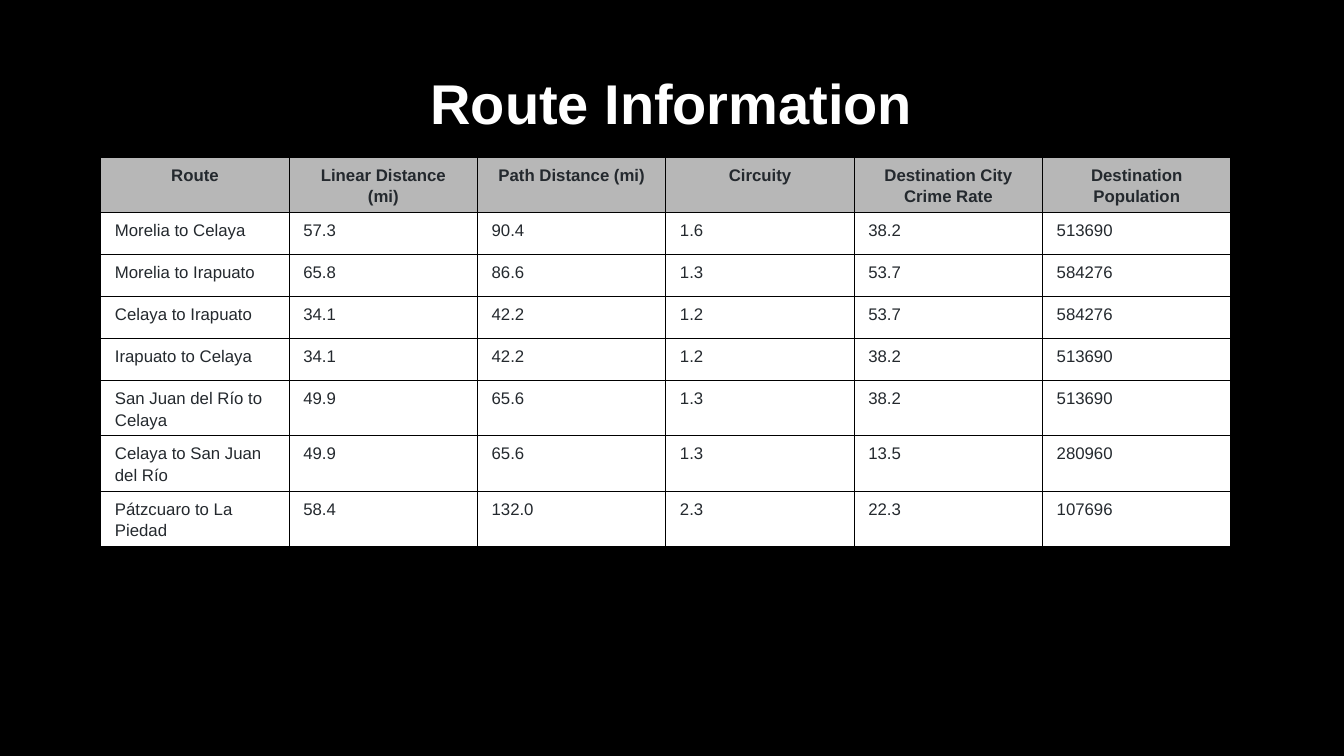
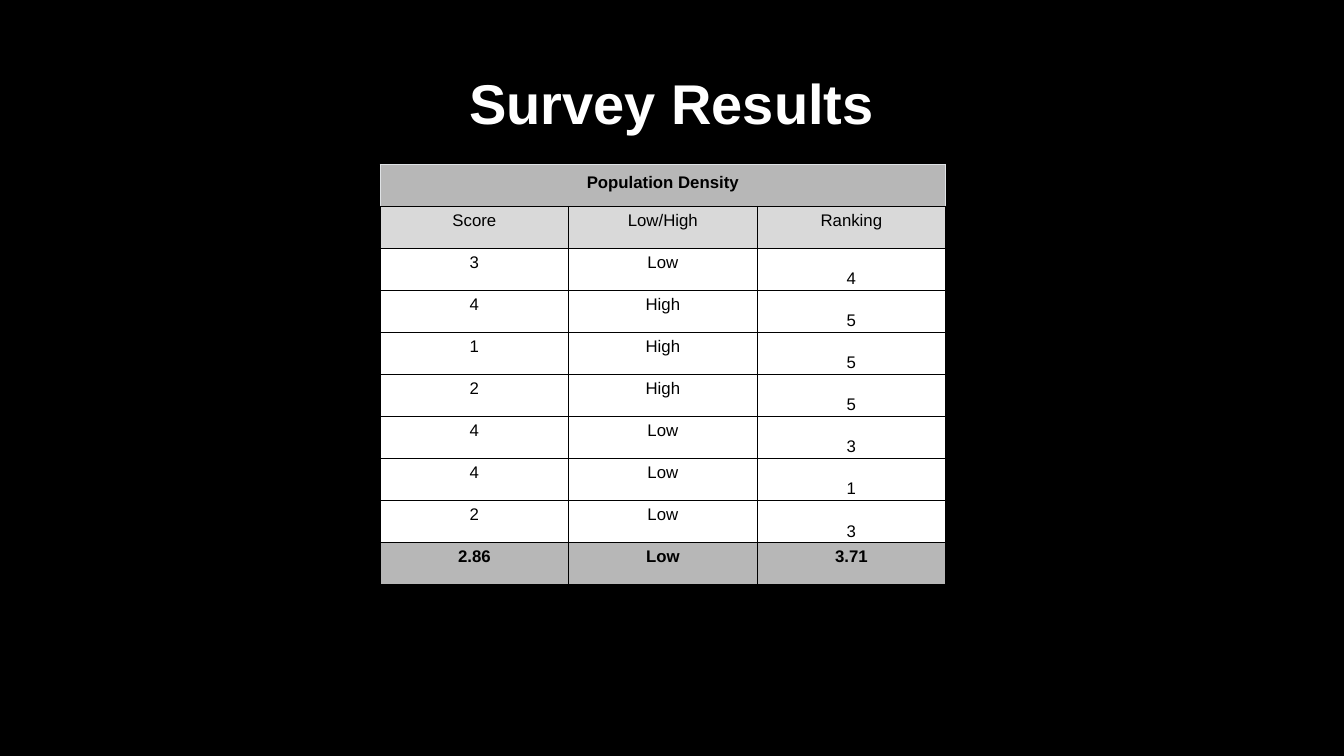
from dataclasses import dataclass
from lxml.etree import SubElement
from pptx import Presentation
from pptx.dml.color import RGBColor
from pptx.enum.text import MSO_ANCHOR, PP_ALIGN
from pptx.oxml.ns import qn
from pptx.util import Inches, Pt


@dataclass(frozen=True)
class Theme:
    """Colours, font and type sizes shared by the slides."""
    font: str = "Arial"
    back: str = "000000"
    light: str = "FFFFFF"
    ink: str = "24292E"
    black: str = "000000"
    head: str = "B7B7B7"
    sub: str = "D9D9D9"
    rim: str = "DFE2E5"
    big: int = 40
    small: int = 12
    line: float = 0.75


@dataclass(frozen=True)
class Look:
    """The style of one kind of table cell."""
    fill: str
    ink: str
    bold: bool = False
    align: PP_ALIGN = PP_ALIGN.CENTER
    pad: tuple = (0.03, 0.02)
    after: int = 0
    edge: str = "000000"


THEME = Theme()
WIDE = (0.14, 0.06)
HEAD = Look(THEME.head, THEME.ink, True, pad=WIDE, after=12)
BODY = Look(THEME.light, THEME.ink, align=PP_ALIGN.LEFT, pad=WIDE, after=12)
BAND = Look(THEME.head, THEME.black, True, pad=WIDE, after=12, edge=THEME.rim)
SUB = Look(THEME.sub, THEME.black)
SCORE = Look(THEME.light, THEME.black)
MEAN = Look(THEME.head, THEME.black, True)

TITLE_BOX = (1, 0.33, 11.32, 1.45)
ROUTE_BOX = (1, 1.56, 11.21, 3.33)
SCORE_BOX = (3.77, 1.63, 5.61, 4.17)

ROUTES = [
    ("Route", "Linear Distance (mi)", "Path Distance (mi)", "Circuity",
     "Destination City Crime Rate", "Destination Population"),
    ("Morelia to Celaya", "57.3", "90.4", "1.6", "38.2", "513690"),
    ("Morelia to Irapuato", "65.8", "86.6", "1.3", "53.7", "584276"),
    ("Celaya to Irapuato", "34.1", "42.2", "1.2", "53.7", "584276"),
    ("Irapuato to Celaya", "34.1", "42.2", "1.2", "38.2", "513690"),
    ("San Juan del Río to Celaya", "49.9", "65.6", "1.3", "38.2", "513690"),
    ("Celaya to San Juan del Río", "49.9", "65.6", "1.3", "13.5", "280960"),
    ("Pátzcuaro to La Piedad", "58.4", "132.0", "2.3", "22.3", "107696"),
]
SCORES = [
    ("Population Density", "", ""),
    ("Score", "Low/High", "Ranking"),
    ("3", "Low", "4"),
    ("4", "High", "5"),
    ("1", "High", "5"),
    ("2", "High", "5"),
    ("4", "Low", "3"),
    ("4", "Low", "1"),
    ("2", "Low", "3"),
    ("2.86", "Low", "3.71"),
]


def style(para, size, ink, bold, align, lead):
    """Format a paragraph and its runs."""
    para.alignment = align
    para.line_spacing = lead
    for run in para.runs:
        font = run.font
        font.name, font.size, font.bold = THEME.font, Pt(size), bold
        font.color.rgb = RGBColor.from_string(ink)


def border(cell, edge):
    """Draw the four sides of a cell; the bottom is always black."""
    props = cell._tc.get_or_add_tcPr()
    sides = {"a:lnL": edge, "a:lnR": edge, "a:lnT": edge, "a:lnB": THEME.black}
    for tag, tint in sides.items():
        line = SubElement(props, qn(tag), w=str(Pt(THEME.line)))
        fill = SubElement(line, qn("a:solidFill"))
        SubElement(fill, qn("a:srgbClr"), val=tint)


def dress(cell, text, look):
    """Fill a cell with text in the given look."""
    across, down = map(Inches, look.pad)
    cell.margin_left = cell.margin_right = across
    cell.margin_top = cell.margin_bottom = down
    border(cell, look.edge)
    cell.fill.solid()
    cell.fill.fore_color.rgb = RGBColor.from_string(look.fill)
    cell.text_frame.text = text
    para = cell.text_frame.paragraphs[0]
    para.space_after = Pt(look.after)
    style(para, THEME.small, look.ink, look.bold, look.align, 1.15)


def grid(slide, box, rows, looks):
    """Place a table of equal rows and columns in the box."""
    left, top, width, height = map(Inches, box)
    count = len(rows[0])
    table = slide.shapes.add_table(
        len(rows), count, left, top, width, height).table
    table.first_row = table.horz_banding = False
    for col in table.columns:
        col.width = width // count
    for y, (row, look) in enumerate(zip(rows, looks)):
        table.rows[y].height = height // len(rows)
        for x, text in enumerate(row):
            dress(table.cell(y, x), text, look)
    return table


def setup(deck):
    """Give the title layout its background and title box."""
    layout = deck.slide_layouts[5]
    fill = layout.background.fill
    fill.solid()
    fill.fore_color.rgb = RGBColor.from_string(THEME.back)
    title = next(s for s in layout.placeholders
                 if s.placeholder_format.idx == 0)
    title.left, title.top, title.width, title.height = map(Inches, TITLE_BOX)
    title.text_frame.vertical_anchor = MSO_ANCHOR.MIDDLE
    return layout


def start(deck, layout, text):
    """Add a slide with its title."""
    slide = deck.slides.add_slide(layout)
    frame = slide.shapes.title.text_frame
    frame.text = text
    style(frame.paragraphs[0], THEME.big, THEME.light, True,
          PP_ALIGN.CENTER, 0.9)
    return slide


def routes(deck, layout):
    """Build the slide of routes."""
    slide = start(deck, layout, "Route Information")
    grid(slide, ROUTE_BOX, ROUTES, [HEAD] + [BODY] * (len(ROUTES) - 1))


def survey(deck, layout):
    """Build the slide of survey scores."""
    slide = start(deck, layout, "Survey Results")
    looks = [BAND, SUB] + [SCORE] * (len(SCORES) - 3) + [MEAN]
    table = grid(slide, SCORE_BOX, SCORES, looks)
    table.cell(0, 0).merge(table.cell(0, 2))
    for y, look in enumerate(looks):
        if look is SCORE:
            table.cell(y, 2).vertical_anchor = MSO_ANCHOR.BOTTOM


def main():
    """Build and save the deck."""
    deck = Presentation()
    deck.slide_width, deck.slide_height = Inches(13.33), Inches(7.5)
    layout = setup(deck)
    routes(deck, layout)
    survey(deck, layout)
    deck.save("out.pptx")


if __name__ == "__main__":
    main()
